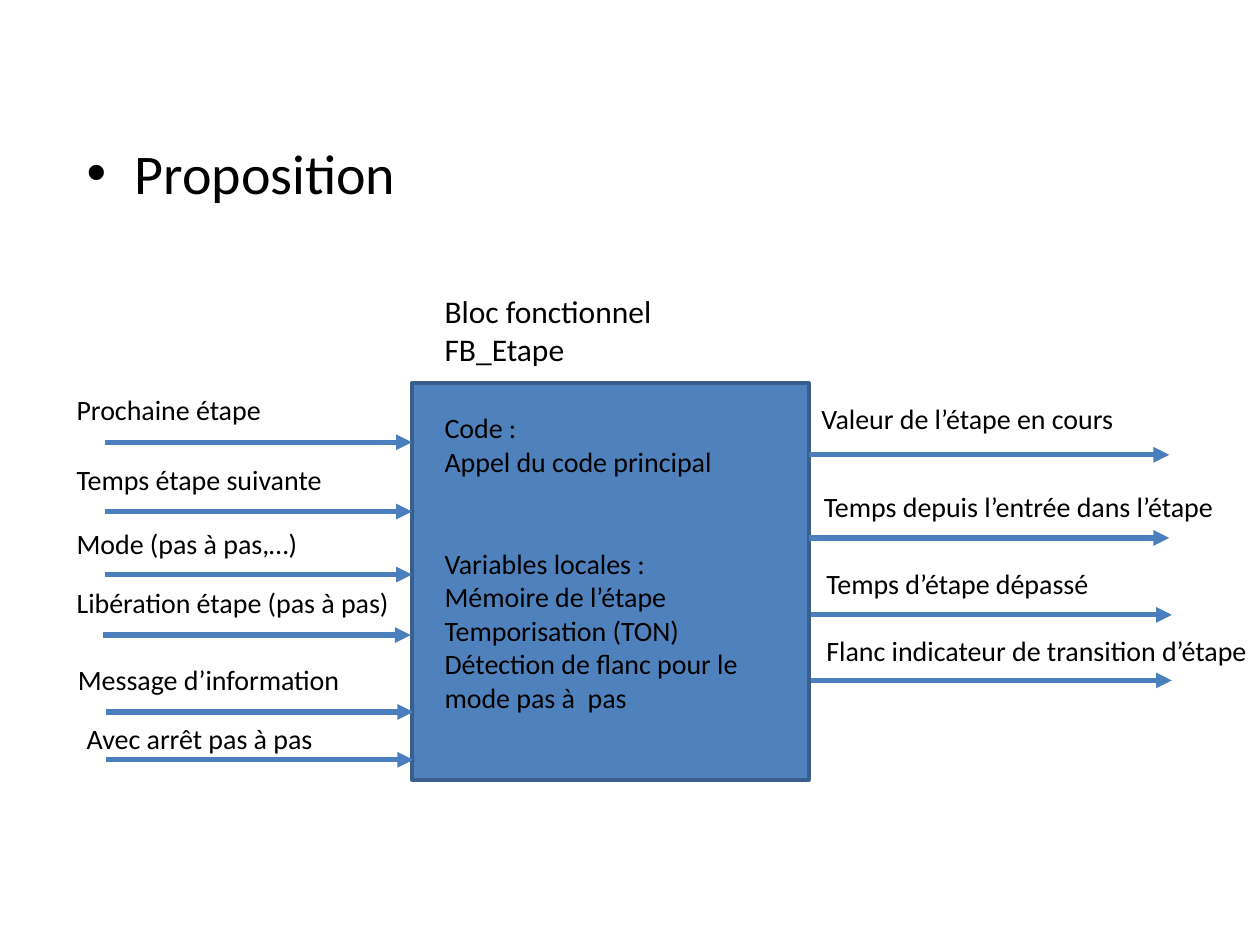
import dataclasses

import lxml.etree
import pptx
import pptx.dml.color
import pptx.enum.dml
import pptx.enum.shapes
import pptx.enum.text
import pptx.oxml.ns
import pptx.util

COLORS = {"text": "000000", "block": "4F81BD", "border": "3A5F8C", "arrow": "4B7EBC"}
FONT = "Calibri"

# Grid of 100 columns by 75 rows over the slide
CELL = pptx.util.Inches(0.1)
COLUMNS, ROWS = 100, 75
INPUT_LENGTH, INPUT_WIDTH = 24.4, 27.6
OUTPUT_LENGTH, OUTPUT_WIDTH = 28.6, 35.8
LABEL_HEIGHT = 3.7


@dataclasses.dataclass(frozen=True)
class Signal:
    """A labelled arrow: label corner and arrow start, in grid units."""
    label: str
    label_column: float
    label_row: float
    arrow_column: float
    arrow_row: float


INPUTS = [
    Signal("Prochaine étape", 5.1, 30.7, 8.3, 35.1),
    Signal("Temps étape suivante", 5.1, 36.2, 8.3, 40.6),
    Signal("Mode (pas à pas,…)", 5.1, 41.3, 8.3, 45.6),
    Signal("Libération étape (pas à pas)", 5.1, 46, 8.2, 50.4),
    Signal("Message d’information", 5.2, 52.1, 8.4, 56.5),
    Signal("Avec arrêt pas à pas", 5.9, 56.8, 8.4, 60.3),
]
OUTPUTS = [
    Signal("Valeur de l’étape en cours", 64.2, 31.4, 64.2, 36.1),
    Signal("Temps depuis l’entrée dans l’étape", 64.4, 38.4, 64.2, 42.7),
    Signal("Temps d’étape dépassé", 64.6, 44.5, 64.4, 48.8),
    Signal("Flanc indicateur de transition d’étape", 64.6, 49.8, 64.4, 54),
]
CODE = ["Code :", "Appel du code principal"]
VARIABLES = [
    "Variables locales :",
    "Mémoire de l’étape",
    "Temporisation (TON)",
    "Détection de flanc pour le mode pas à  pas",
]


def grid(*units: float) -> list[int]:
    return [round(unit * CELL) for unit in units]


def color(name: str) -> pptx.dml.color.RGBColor:
    return pptx.dml.color.RGBColor.from_string(COLORS[name])


def add_text(slide, lines: list[str], column: float, row: float,
             width: float, height: float, size: int = 16) -> list:
    """Write one paragraph per line and return the paragraphs."""
    frame = slide.shapes.add_textbox(*grid(column, row, width, height)).text_frame
    frame.word_wrap = True
    frame.auto_size = pptx.enum.text.MSO_AUTO_SIZE.NONE
    frame.text = "\n".join(lines)
    for paragraph in frame.paragraphs:
        paragraph.font.name = FONT
        paragraph.font.size = pptx.util.Pt(size)
        paragraph.font.color.rgb = color("text")
    return list(frame.paragraphs)


def add_bullet(paragraph) -> None:
    properties = paragraph._p.get_or_add_pPr()
    indent = pptx.util.Inches(0.38)
    properties.set("marL", str(indent))
    properties.set("indent", str(-indent))
    font = lxml.etree.SubElement(properties, pptx.oxml.ns.qn("a:buFont"), typeface="Arial")
    bullet = lxml.etree.Element(pptx.oxml.ns.qn("a:buChar"), char="•")
    font.addnext(bullet)
    # Bullet settings come before the default run properties
    defaults = properties.find(pptx.oxml.ns.qn("a:defRPr"))
    if defaults is not None:
        properties.append(defaults)


def add_signal(slide, signal: Signal, length: float, label_width: float) -> None:
    start_x, end_x, y = grid(signal.arrow_column, signal.arrow_column + length,
                             signal.arrow_row)
    arrow = slide.shapes.add_connector(
        pptx.enum.shapes.MSO_CONNECTOR.STRAIGHT, start_x, y, end_x, y)
    arrow.line.color.rgb = color("arrow")
    arrow.line.width = pptx.util.Pt(3)
    lxml.etree.SubElement(arrow.line._get_or_add_ln(),
                          pptx.oxml.ns.qn("a:tailEnd"), type="triangle")
    lxml.etree.SubElement(arrow._element.spPr, pptx.oxml.ns.qn("a:effectLst"))
    add_text(slide, [signal.label], signal.label_column, signal.label_row,
             label_width, LABEL_HEIGHT)


def add_block(slide) -> None:
    block = slide.shapes.add_shape(
        pptx.enum.shapes.MSO_SHAPE.RECTANGLE, *grid(32.7, 30.4, 31.5, 31.5))
    block.shadow.inherit = False
    block.fill.solid()
    block.fill.fore_color.rgb = color("block")
    block.line.color.rgb = color("border")
    block.line.width = pptx.util.Pt(2)


def main() -> None:
    presentation = pptx.Presentation()
    presentation.slide_width, presentation.slide_height = grid(COLUMNS, ROWS)
    slide = presentation.slides.add_slide(presentation.slide_layouts[6])

    # Heading
    heading = add_text(slide, ["Proposition"], 5.9, 10.5, 85, 12.2, size=32)
    add_bullet(heading[0])

    # Function block with its title and contents
    add_block(slide)
    add_text(slide, ["Bloc fonctionnel", "FB_Etape"], 34.3, 22.7, 27.6, 7.1, size=18)
    contents = add_text(slide, CODE + VARIABLES, 34.3, 32.1, 29.1, 25.2)
    contents[len(CODE)].space_before = pptx.util.Pt(39)

    # Inputs on the left, outputs on the right
    for signal in INPUTS:
        add_signal(slide, signal, INPUT_LENGTH, INPUT_WIDTH)
    for signal in OUTPUTS:
        add_signal(slide, signal, OUTPUT_LENGTH, OUTPUT_WIDTH)

    presentation.save("out.pptx")


if __name__ == "__main__":
    main()
